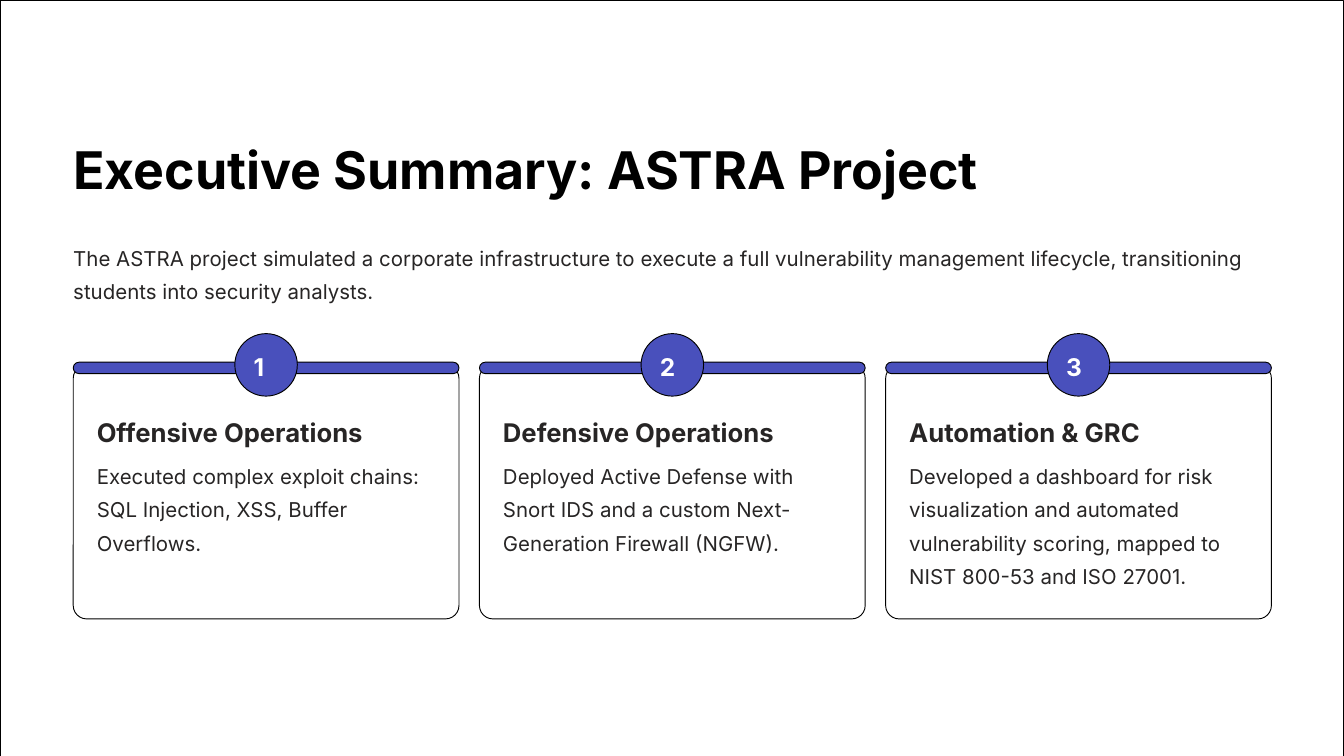
from pptx import Presentation
from pptx.dml.color import RGBColor
from pptx.enum.shapes import MSO_SHAPE as Shape
from pptx.enum.text import MSO_ANCHOR as Anchor, MSO_AUTO_SIZE as AutoSize, PP_ALIGN as Align
from pptx.util import Inches, Pt

TITLE = "Executive Summary: ASTRA Project"
INTRO = (
    "The ASTRA project simulated a corporate infrastructure to execute a full "
    "vulnerability management lifecycle, transitioning students into security analysts."
)
CARDS = [
    ("Offensive Operations",
     "Executed complex exploit chains: SQL Injection, XSS, Buffer Overflows."),
    ("Defensive Operations",
     "Deployed Active Defense with Snort IDS and a custom Next-Generation Firewall (NGFW)."),
    ("Automation & GRC",
     "Developed a dashboard for risk visualization and automated vulnerability scoring, "
     "mapped to NIST 800-53 and ISO 27001."),
]

FONT = "Inter"
BLACK, WHITE, INK, ACCENT = "000000", "FFFFFF", "272525", "4950BC"
SLIDE_WIDTH, SLIDE_HEIGHT = 20, 11.25
MARGIN, CONTENT_WIDTH = 1.09, 17.83
CARD_WIDTH, CARD_HEIGHT, CARD_TOP = 5.74, 3.78, 5.43
CARD_RADIUS, CARD_PADDING = 0.2, 0.35
BAR_TOP, BAR_HEIGHT = 5.39, 0.17
BADGE_SIZE = 0.93
GAP = (CONTENT_WIDTH - len(CARDS) * CARD_WIDTH) / (len(CARDS) - 1)


def color(value):
    return RGBColor.from_string(value)


def place(shape, left, top, width, height):
    shape.left, shape.top = Inches(left), Inches(top)
    shape.width, shape.height = Inches(width), Inches(height)


def write(shape, text, size, spacing, ink=INK, bold=False):
    frame = shape.text_frame
    frame.word_wrap = True
    frame.auto_size = AutoSize.NONE
    frame.vertical_anchor = Anchor.TOP
    frame.margin_left = frame.margin_right = frame.margin_top = frame.margin_bottom = 0
    paragraph = frame.paragraphs[0]
    paragraph.alignment = Align.LEFT
    paragraph.line_spacing = Pt(spacing)
    run = paragraph.add_run()
    run.text = text
    run.font.name = FONT
    run.font.size = Pt(size)
    run.font.bold = bold
    run.font.color.rgb = color(ink)


def add_text(slide, box, text, size, spacing, ink=INK, bold=False):
    textbox = slide.shapes.add_textbox(*map(Inches, box))
    write(textbox, text, size, spacing, ink, bold)


def add_panel(slide, kind, box, fill, radius=None):
    shape = slide.shapes.add_shape(kind, *map(Inches, box))
    shape.shadow.inherit = False
    shape.fill.solid()
    shape.fill.fore_color.rgb = color(fill)
    shape.line.color.rgb = color(BLACK)
    shape.line.width = Pt(1)
    if radius is not None:
        shape.adjustments[0] = radius / min(box[2:])
    return shape


def add_card(slide, number, left, heading, body):
    text_left = left + CARD_PADDING
    badge_left = left + (CARD_WIDTH - BADGE_SIZE) / 2
    badge_top = CARD_TOP - BADGE_SIZE / 2
    add_panel(slide, Shape.ROUNDED_RECTANGLE,
              (left, CARD_TOP, CARD_WIDTH, CARD_HEIGHT), WHITE, CARD_RADIUS)
    add_panel(slide, Shape.ROUNDED_RECTANGLE,
              (left, BAR_TOP, CARD_WIDTH, BAR_HEIGHT), ACCENT, BAR_HEIGHT / 2)
    add_panel(slide, Shape.OVAL, (badge_left, badge_top, BADGE_SIZE, BADGE_SIZE), ACCENT)
    add_text(slide, (badge_left + 0.28, 5.08, 0.37, 0.58), str(number), 26.2, 42.5, WHITE, True)
    add_text(slide, (text_left, 6.19, 5.03, 0.51), heading, 27.5, 34.4, bold=True)
    add_text(slide, (text_left, 6.78, 5.03, 2.08), body, 21.9, 35.6)


def main():
    presentation = Presentation()
    presentation.slide_width = Inches(SLIDE_WIDTH)
    presentation.slide_height = Inches(SLIDE_HEIGHT)
    slide = presentation.slides.add_slide(presentation.slide_layouts[5])

    backdrop = add_panel(slide, Shape.RECTANGLE, (0, 0, SLIDE_WIDTH, SLIDE_HEIGHT), WHITE)
    title = slide.shapes.title
    backdrop.element.addnext(title.element)
    place(title, MARGIN, 2.01, CONTENT_WIDTH, 1)
    write(title, TITLE, 55.6, 69.4, BLACK, True)
    add_text(slide, (MARGIN, 3.53, CONTENT_WIDTH, 1.09), INTRO, 21.9, 35.6)

    for index, (heading, body) in enumerate(CARDS):
        add_card(slide, index + 1, MARGIN + index * (CARD_WIDTH + GAP), heading, body)

    presentation.save("out.pptx")


if __name__ == "__main__":
    main()
